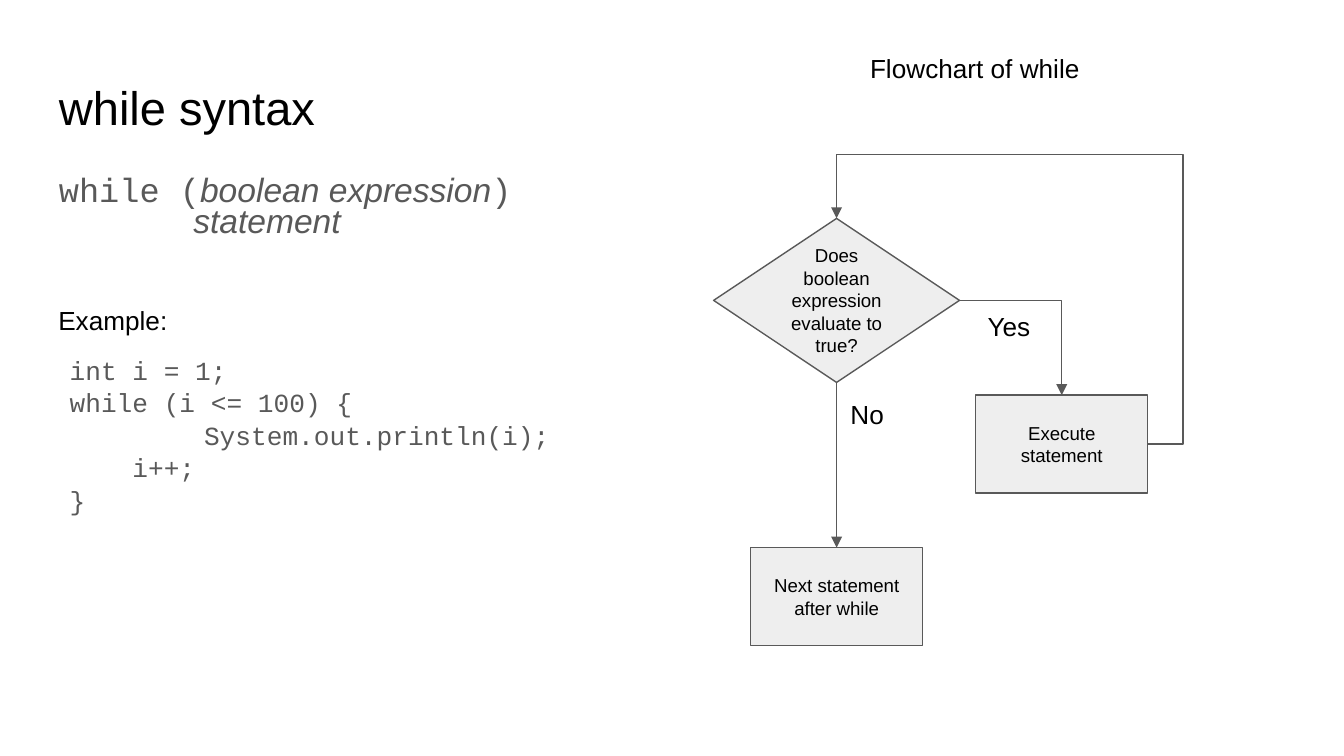
from lxml.etree import SubElement
from pptx import Presentation
from pptx.dml.color import RGBColor
from pptx.enum.shapes import MSO_CONNECTOR as CX, MSO_SHAPE as SH
from pptx.enum.text import MSO_ANCHOR as ANCHOR, PP_ALIGN as ALIGN
from pptx.oxml.ns import qn
from pptx.util import Pt

PX = 4572
W, H = 2000, 1125
INSET, TAB = 20, 200
TOP, LEFT, BOTTOM, RIGHT = range(4)
COLORS = {"ink": "000000", "gray": "595959", "fill": "EEEEEE"}

TITLE = {"size": 25.2, "name": "Arial", "color": "ink"}
LABEL = {"size": 14, "name": "Arial", "color": "ink"}
NODE = {"size": 10, "name": "Arial", "color": "ink"}
SYNTAX = {"size": 18, "name": "Courier New", "color": "gray"}
TERM = {**SYNTAX, "name": "Arial", "italic": True}
CODE = {"size": 14, "name": "Courier New", "color": "gray"}

CODE_LINES = [
    "int i = 1;",
    "while (i <= 100) {",
    "\tSystem.out.println(i);",
    "    i++;",
    "}",
]
SYNTAX_LINES = [
    [("while (", SYNTAX), ("boolean expression", TERM), (")", SYNTAX)],
    [("\t", SYNTAX), ("statement", TERM)],
]
TEXTS = [
    ((68, 97, 752, 126), [[("while syntax", TITLE)]], 1),
    ((68, 252, 768, 170), SYNTAX_LINES, 0.6),
    ((67, 433, 656, 88), [[("Example:", LABEL)]], 1),
    ((84, 516, 946, 274), [[(line, CODE)] for line in CODE_LINES], 0.8),
    ((1275, 58, 450, 88), [[("Flowchart of while", LABEL)]], 1),
    ((1450, 442, 106, 88), [[("Yes", LABEL)]], 1),
    ((1246, 573, 106, 88), [[("No", LABEL)]], 1),
]
NODES = {
    "test": (SH.FLOWCHART_DECISION, (1062, 325, 366, 244), "Does boolean expression evaluate to true?"),
    "body": (SH.RECTANGLE, (1452, 588, 256, 146), "Execute statement"),
    "next": (SH.RECTANGLE, (1117, 815, 256, 146), "Next statement after while"),
}
LINKS = [
    ("test", BOTTOM, "next", TOP, "straightConnector1", []),
    ("test", RIGHT, "body", TOP, "bentConnector2", []),
    ("body", RIGHT, "test", TOP, "bentConnector4", [-11300, 128400]),
]


def rgb(name):
    return RGBColor.from_string(COLORS[name])


def add_tab_stop(p):
    stops = SubElement(p._p.get_or_add_pPr(), qn("a:tabLst"))
    SubElement(stops, qn("a:tab"), pos=str(TAB * PX), algn="l")


def write(shape, lines, spacing=1, align=ALIGN.LEFT, anchor=ANCHOR.TOP):
    tf = shape.text_frame
    tf.word_wrap = True
    tf.vertical_anchor = anchor
    for side in ("left", "top", "right", "bottom"):
        setattr(tf, f"margin_{side}", INSET * PX)
    for i, runs in enumerate(lines):
        p = tf.add_paragraph() if i else tf.paragraphs[0]
        p.alignment = align
        p.line_spacing = spacing
        p.space_before = Pt(4 if i else 0)
        if runs[0][0].startswith("\t"):
            add_tab_stop(p)
        for text, style in runs:
            r = p.add_run()
            r.text = text
            for key, value in style.items():
                if key == "color":
                    r.font.color.rgb = rgb(value)
                else:
                    setattr(r.font, key, Pt(value) if key == "size" else value)


def outline(shape):
    shape.line.color.rgb = rgb("gray")
    shape.line.width = Pt(0.75)


def add_node(s, kind, box, text):
    sp = s.shapes.add_shape(kind, *(v * PX for v in box))
    sp.shadow.inherit = False
    sp.fill.solid()
    sp.fill.fore_color.rgb = rgb("fill")
    outline(sp)
    write(sp, [[(text, NODE)]], align=ALIGN.CENTER, anchor=ANCHOR.MIDDLE)
    return sp


def add_link(s, start, start_site, end, end_site, preset, adjusts):
    kind = CX.STRAIGHT if preset.startswith("straight") else CX.ELBOW
    c = s.shapes.add_connector(kind, 0, 0, 0, 0)
    c.begin_connect(start, start_site)
    c.end_connect(end, end_site)
    outline(c)
    SubElement(c.line._get_or_add_ln(), qn("a:tailEnd"), type="triangle")
    props = c._element.spPr
    SubElement(props, qn("a:effectLst"))
    geometry = props.find(qn("a:prstGeom"))
    geometry.set("prst", preset)
    guides = geometry.find(qn("a:avLst"))
    for i, value in enumerate(adjusts, 1):
        SubElement(guides, qn("a:gd"), name=f"adj{i}", fmla=f"val {value}")


def main():
    prs = Presentation()
    prs.slide_width, prs.slide_height = W * PX, H * PX
    s = prs.slides.add_slide(prs.slide_layouts[6])
    nodes = {name: add_node(s, *node) for name, node in NODES.items()}
    for start, start_site, end, end_site, preset, adjusts in LINKS:
        add_link(s, nodes[start], start_site, nodes[end], end_site, preset, adjusts)
    for box, lines, spacing in TEXTS:
        write(s.shapes.add_textbox(*(v * PX for v in box)), lines, spacing)
    prs.save("out.pptx")


if __name__ == "__main__":
    main()
